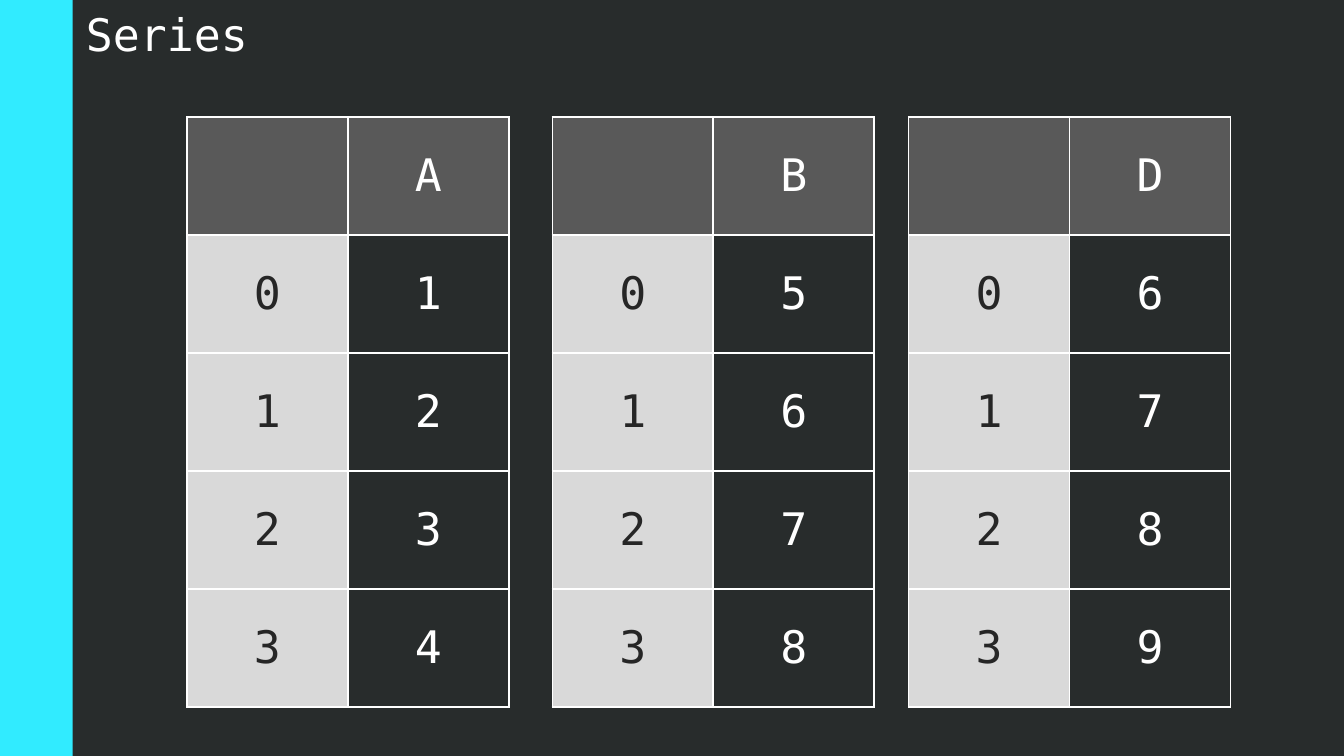
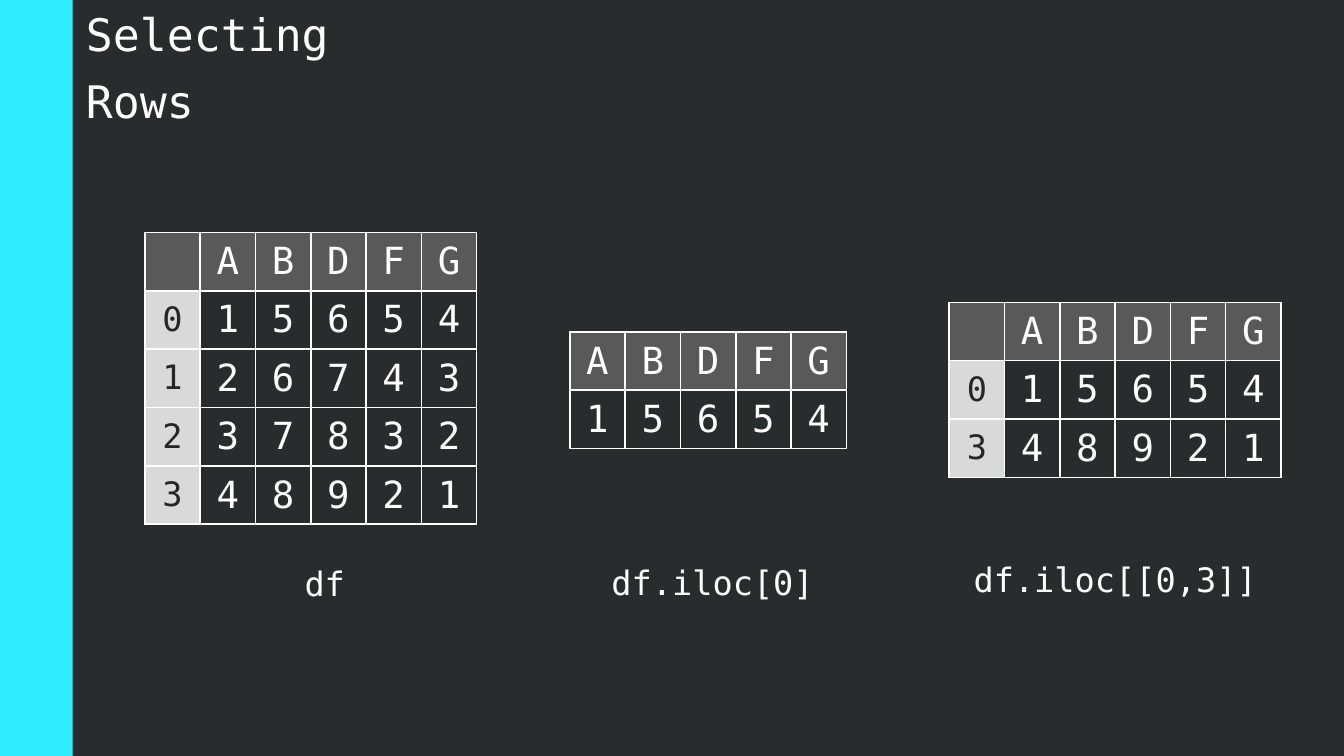
import lxml.etree
import pptx
import pptx.dml.color
import pptx.enum.shapes
import pptx.enum.text
import pptx.oxml
import pptx.oxml.ns
import pptx.util

SCALE = 4762.5
WIDTH, HEIGHT = 1920, 1080
BAR = 104
FONT = "DejaVu Sans Mono"
BACKGROUND, ACCENT, WHITE = "282C2C", "31EBFF", "FFFFFF"
HEADER, INDEX, INDEX_TEXT = "595959", "D9D9D9", "262626"
FRAME = {"A": "1234", "B": "5678", "D": "6789", "F": "5432", "G": "4321"}


def emu(px):
    return pptx.util.Emu(round(px * SCALE))


def color(value):
    return pptx.dml.color.RGBColor.from_string(value)


def frame_rows(columns, labels, indexed=True):
    rows = [list(columns)]
    rows += [[FRAME[column][label] for column in columns] for label in labels]
    if indexed:
        rows = [[name] + row for name, row in zip(["", *map(str, labels)], rows)]
    return rows


class Slides:
    """Holds the deck style and the current page."""

    def __init__(self):
        self.deck = pptx.Presentation()
        self.deck.slide_width, self.deck.slide_height = emu(WIDTH), emu(HEIGHT)
        self.page = None

    def start(self, *title_lines):
        self.page = self.deck.slides.add_slide(self.deck.slide_layouts[6])
        self.page.background.fill.solid()
        self.page.background.fill.fore_color.rgb = color(BACKGROUND)
        self.bar(0, 0, BAR, HEIGHT)
        for line, words in enumerate(title_lines):
            self.text(words, BAR, 96 * line, WIDTH - BAR, 96, 24)

    def bar(self, left, top, width, height):
        bar = self.page.shapes.add_shape(
            pptx.enum.shapes.MSO_SHAPE.RECTANGLE, *map(emu, (left, top, width, height)))
        bar.shadow.inherit = False
        bar.fill.solid()
        bar.fill.fore_color.rgb = color(ACCENT)
        bar.line.fill.background()

    def style(self, text_frame, size, ink=WHITE, centered=False):
        for para in text_frame.paragraphs:
            if centered:
                para.alignment = pptx.enum.text.PP_ALIGN.CENTER
            for span in para.runs:
                span.font.name = FONT
                span.font.size = pptx.util.Pt(size)
                span.font.color.rgb = color(ink)

    def text(self, words, left, top, width, height, size, centered=False):
        box = self.page.shapes.add_textbox(*map(emu, (left, top, width, height)))
        box.text_frame.word_wrap = True
        box.text_frame.auto_size = pptx.enum.text.MSO_AUTO_SIZE.SHAPE_TO_FIT_TEXT
        box.text_frame.text = words
        self.style(box.text_frame, size, centered=centered)

    def borders(self, cell):
        properties = cell._tc.get_or_add_tcPr()
        for side in ("a:lnL", "a:lnR", "a:lnT", "a:lnB"):
            line = lxml.etree.SubElement(
                properties, pptx.oxml.ns.qn(side), w=str(pptx.util.Pt(1)))
            fill = lxml.etree.SubElement(line, pptx.oxml.ns.qn("a:solidFill"))
            lxml.etree.SubElement(fill, pptx.oxml.ns.qn("a:srgbClr"), val=WHITE)

    def cell(self, cell, words, size, fill=None, ink=WHITE):
        self.borders(cell)
        if fill:
            cell.fill.solid()
            cell.fill.fore_color.rgb = color(fill)
        else:
            cell.fill.background()
        cell.vertical_anchor = pptx.enum.text.MSO_ANCHOR.MIDDLE
        cell.text_frame.text = words
        self.style(cell.text_frame, size, ink, centered=True)

    def table(self, rows, left, top, column_width, height, size, index_size):
        count = len(rows[0])
        table = self.page.shapes.add_table(
            len(rows), count,
            *map(emu, (left, top, column_width * count, height))).table
        table.first_row = table.horz_banding = False
        indexed = rows[0][0] == ""
        for column in table.columns:
            column.width = emu(column_width)
        for r, row in enumerate(rows):
            table.rows[r].height = emu(height / len(rows))
            for c, words in enumerate(row):
                cell = table.cell(r, c)
                if r == 0:
                    self.cell(cell, words, size, HEADER)
                elif indexed and c == 0:
                    self.cell(cell, words, index_size, INDEX, INDEX_TEXT)
                else:
                    self.cell(cell, words, size)


def series(slides):
    slides.start("Series")
    for column, left in zip("ABD", (267, 789, 1298)):
        slides.table(frame_rows(column, range(4)), left, 167, 230, 843, 24, 24)


def selecting_rows(slides):
    slides.start("Selecting", "Rows")
    selections = (
        (frame_rows(FRAME, range(4)), 207, 332, 417, "df", 298, 795, 332),
        (frame_rows(FRAME, [0], False), 814, 474, 167, "df.iloc[0]", 852, 793, 332),
        (frame_rows(FRAME, [0, 3]), 1356, 432, 250, "df.iloc[[0,3]]", 1356, 789, 474),
    )
    for rows, left, top, height, caption, text_left, text_top, text_width in selections:
        slides.table(rows, left, top, 79, height, 20, 18)
        slides.text(caption, text_left, text_top, text_width, 77, 18, centered=True)


def main():
    slides = Slides()
    series(slides)
    selecting_rows(slides)
    slides.deck.save("out.pptx")


if __name__ == "__main__":
    main()
